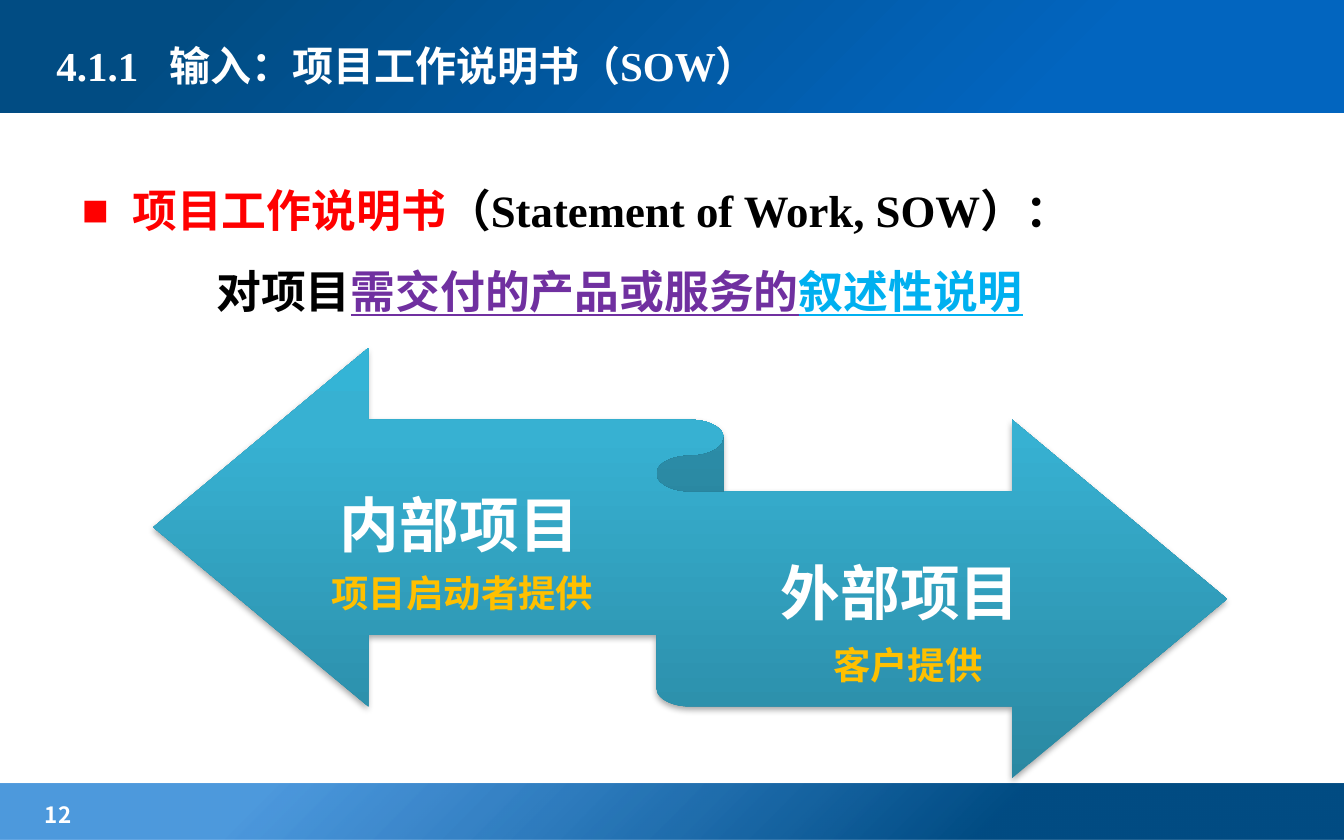
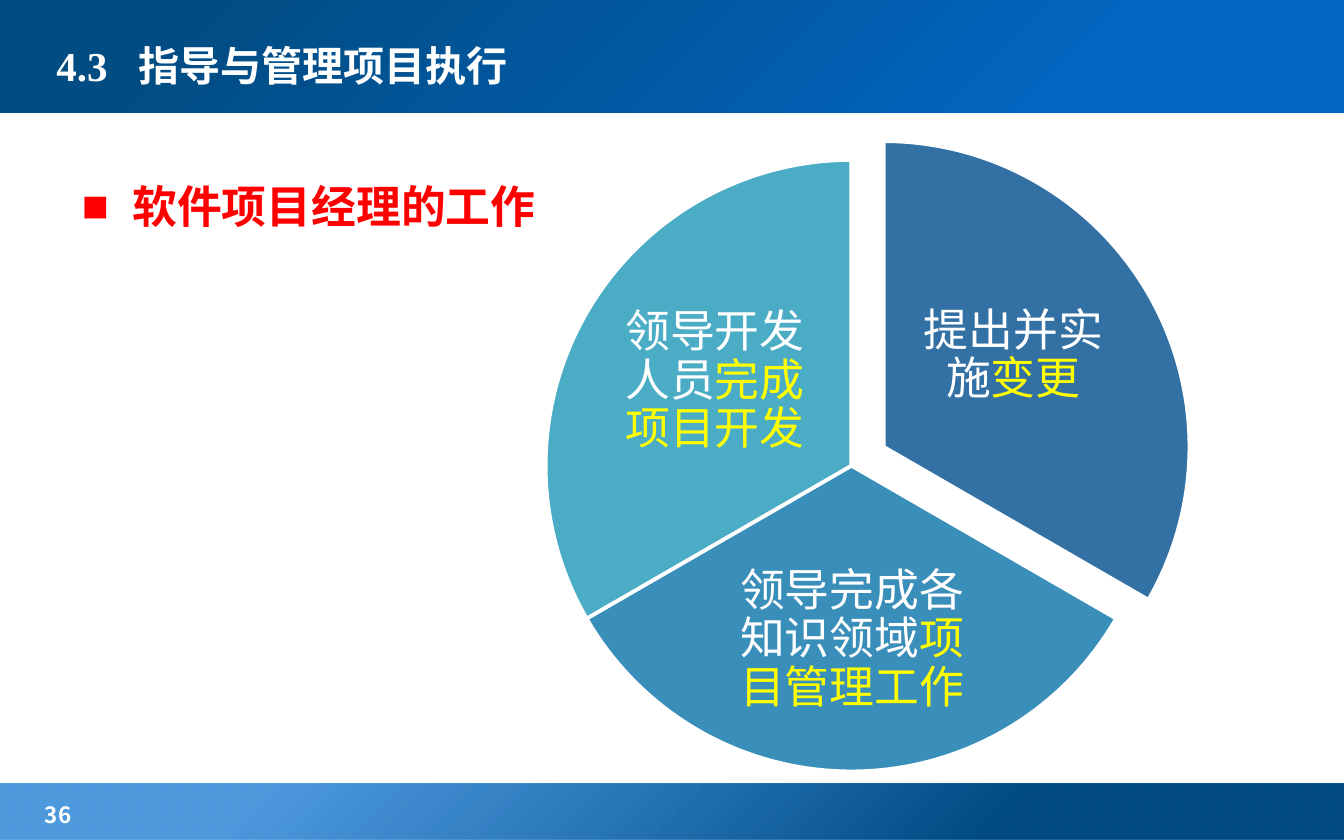
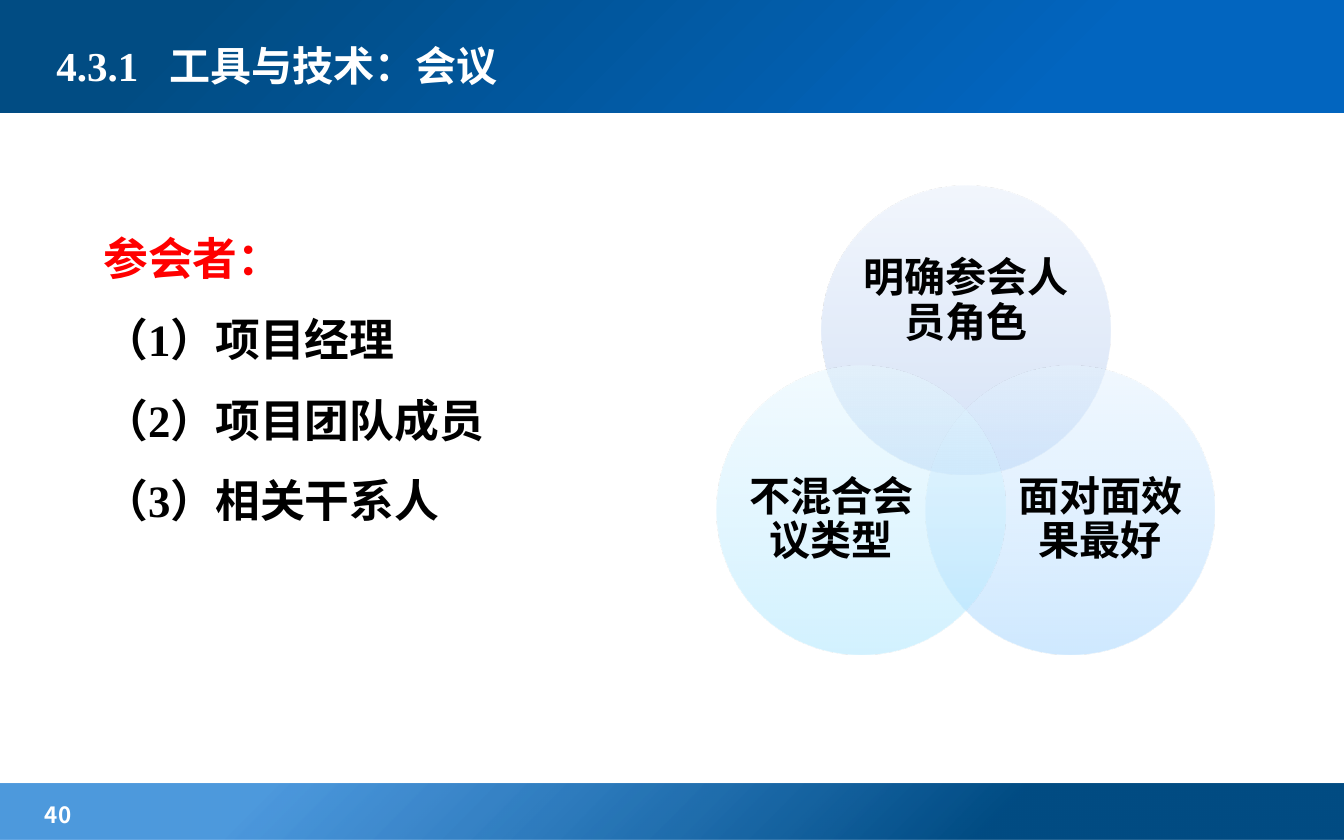
"""Builds three project integration management slides."""
import pptx
import pptx.util
import pptx.dml.color
import pptx.enum.shapes
import pptx.enum.text
import pptx.oxml
import pptx.oxml.ns

Pt = pptx.util.Pt
RGBColor = pptx.dml.color.RGBColor
MSO_SHAPE = pptx.enum.shapes.MSO_SHAPE
MSO_ANCHOR = pptx.enum.text.MSO_ANCHOR
PP_ALIGN = pptx.enum.text.PP_ALIGN

WHITE = RGBColor(0xFF, 0xFF, 0xFF)
BLACK = RGBColor(0x00, 0x00, 0x00)
RED = RGBColor(0xFF, 0x00, 0x00)
PURPLE = RGBColor(0x70, 0x30, 0xA0)
SKY = RGBColor(0x00, 0xB0, 0xF0)
GOLD = RGBColor(0xFF, 0xC0, 0x00)
YELLOW = RGBColor(0xFF, 0xFF, 0x00)
NAVY = RGBColor(0x01, 0x4C, 0x83)
HEADER_BLUE = RGBColor(0x02, 0x65, 0xBF)
FOOTER_BLUE = RGBColor(0x02, 0x6D, 0xCE)
TEAL_DARK = RGBColor(0x2A, 0x88, 0xA2)
TEAL = RGBColor(0x37, 0xB1, 0xD2)
TEAL_LIGHT = RGBColor(0x34, 0xB4, 0xD6)
PIE_BLUE = RGBColor(0x33, 0x71, 0xA4)
PIE_MIDDLE = RGBColor(0x3A, 0x8F, 0xBA)
PIE_TEAL = RGBColor(0x4B, 0xAC, 0xC6)
ROLE_COLORS = (RGBColor(0xA6, 0xC4, 0xF1), RGBColor(0xC1, 0xD5, 0xF4), RGBColor(0xE7, 0xEF, 0xFC))
FACE_COLORS = (RGBColor(0xA0, 0xD4, 0xFF), RGBColor(0xBC, 0xE0, 0xFF), RGBColor(0xE5, 0xF3, 0xFF))
TYPE_COLORS = (RGBColor(0xA7, 0xE6, 0xFF), RGBColor(0xC1, 0xED, 0xFF), RGBColor(0xE7, 0xF8, 0xFF))

SERIF = {"name": "Times New Roman", "bold": True}
TITLE = {**SERIF, "size": Pt(22)}
BODY = {**SERIF, "size": Pt(24)}
RIBBON = {**SERIF, "size": Pt(32)}
PROVIDER = {**SERIF, "size": Pt(20)}
PIE = {"name": "Lato", "size": Pt(24), "bold": False}
NUMBER = {"name": "Noto Sans CJK SC", "size": Pt(12), "bold": True}

UPWARD = '<a:lin ang="16200000" scaled="0"/>'
FROM_CORNER = '<a:path path="circle"><a:fillToRect l="100000" t="100000"/></a:path>'


def make_xml(text):
    """Parse DrawingML text, adding its namespace."""
    declaration = " " + pptx.oxml.ns.nsdecls("a")
    tag = text.split(" ")[0].split(">")[0].split("/")[0]
    return pptx.oxml.parse_xml(text.replace(tag, tag + declaration, 1) if tag == text
                               else "<" + text[1:].replace(tag[1:], tag[1:] + declaration, 1))


def place(shape, box):
    """Set the left, top, width and height of a shape in points."""
    for name, value in zip(("left", "top", "width", "height"), box):
        setattr(shape, name, Pt(value))


def set_frame(frame, anchor=MSO_ANCHOR.TOP, insets=(7.2, 3.6, 7.2, 3.6)):
    """Set wrapping, anchor and insets of a text frame."""
    values = {"word_wrap": True, "auto_size": pptx.enum.text.MSO_AUTO_SIZE.NONE,
              "vertical_anchor": anchor}
    for side, inset in zip(("left", "top", "right", "bottom"), insets):
        values["margin_" + side] = Pt(inset)
    for name, value in values.items():
        setattr(frame, name, value)


def add_runs(paragraph, runs, font_values):
    """Add (text, colour[, underline]) runs sharing one font."""
    for text, color, *underline in runs:
        run = paragraph.add_run()
        run.text = text
        for name, value in font_values.items():
            setattr(run.font, name, value)
        run.font.color.rgb = color
        if underline:
            run.font.underline = True


def add_text(slide, box, runs, font_values):
    """Add a text box with one left-aligned paragraph."""
    text_box = slide.shapes.add_textbox(*map(Pt, box))
    set_frame(text_box.text_frame)
    add_runs(text_box.text_frame.paragraphs[0], runs, font_values)
    return text_box


def add_caption(slide, box, runs, font_values, insets=(0, 0, 0, 0)):
    """Add centred text with tight lines in the middle of a box."""
    frame = add_text(slide, box, runs, font_values).text_frame
    set_frame(frame, MSO_ANCHOR.MIDDLE, insets)
    frame.paragraphs[0].alignment = PP_ALIGN.CENTER
    frame.paragraphs[0].line_spacing = 0.9


def add_figure(slide, kind, box):
    """Add a preset shape without shadow, fill or line."""
    shape = slide.shapes.add_shape(kind, *map(Pt, box))
    shape.shadow.inherit = False
    shape.fill.background()
    shape.line.fill.background()
    return shape


def fill_gradient(shape, stops, direction):
    """Fill a shape with (position, colour, opacity) stops in percent."""
    stop_list = "".join(
        f'<a:gs pos="{position * 1000}"><a:srgbClr val="{color}">'
        f'<a:alpha val="{opacity * 1000}"/></a:srgbClr></a:gs>'
        for position, color, opacity in stops)
    gradient = make_xml(f'<a:gradFill rotWithShape="1"><a:gsLst>{stop_list}</a:gsLst>'
                        f'{direction}</a:gradFill>')
    properties = shape._element.spPr
    properties.replace(properties.find(pptx.oxml.ns.qn("a:noFill")), gradient)


def add_bands(slide, layout):
    """Put the header and footer bands on the layout."""
    bands = (
        ((0, 0, 720, 60.5), ((21, HEADER_BLUE, 100), (86, NAVY, 100))),
        ((0, 419.8, 720, 30.2), ((26, NAVY, 100), (80, FOOTER_BLUE, 70))),
    )
    for box, stops in bands:
        band = add_figure(slide, MSO_SHAPE.RECTANGLE, box)
        fill_gradient(band, stops, FROM_CORNER)
        layout.shapes._spTree.insert(2, band._element)


def add_slide(presentation, number, section, title, tab_stop):
    """Add a slide with its title and page number."""
    slide = presentation.slides.add_slide(presentation.slide_layouts[1])
    place(slide.shapes.title, (23, 9.4, 524, 51))
    frame = slide.shapes.title.text_frame
    set_frame(frame, MSO_ANCHOR.MIDDLE)
    paragraph = frame.paragraphs[0]
    paragraph._p.get_or_add_pPr().append(make_xml(
        f'<a:tabLst><a:tab pos="{Pt(tab_stop)}" algn="l"/></a:tabLst>'))
    paragraph.alignment = PP_ALIGN.LEFT
    add_runs(paragraph, [(f"{section}\t{title}", WHITE)], TITLE)
    add_text(slide, (17, 425.5, 110, 18.7), [(number, WHITE)], NUMBER)
    return slide


def fill_body(slide, box, lines):
    """Fill the body with (bullet, left indent, runs) lines."""
    body = slide.placeholders[1]
    place(body, box)
    set_frame(body.text_frame)
    for index, (bullet, indent, runs) in enumerate(lines):
        frame = body.text_frame
        paragraph = frame.add_paragraph() if index else frame.paragraphs[0]
        properties = paragraph._p.get_or_add_pPr()
        properties.set("marL", str(Pt(indent)))
        properties.set("indent", str(Pt(-indent if bullet else 0)))
        properties.append(make_xml(f'<a:buChar char="{bullet}"/>' if bullet else "<a:buNone />"))
        for name, value in {"line_spacing": 1.5, "space_before": Pt(0)}.items():
            setattr(paragraph, name, value)
        add_runs(paragraph, runs, BODY)


def add_ribbon(slide, box):
    """Add the two-way ribbon with its soft shadow."""
    ribbon = add_figure(slide, MSO_SHAPE.LEFT_RIGHT_RIBBON, box)
    fill_gradient(ribbon, ((0, TEAL_DARK, 100), (80, TEAL, 100), (100, TEAL_LIGHT, 100)), UPWARD)
    effects = ribbon._element.spPr.find(pptx.oxml.ns.qn("a:effectLst"))
    effects.append(make_xml(
        f'<a:outerShdw blurRad="{Pt(3.1)}" dist="{Pt(1.8)}" dir="5400000" rotWithShape="0">'
        f'<a:srgbClr val="{BLACK}"><a:alpha val="35000"/></a:srgbClr></a:outerShdw>'))


def add_slice(slide, corner, angles, color):
    """Add a pie slice between two angles in degrees."""
    piece = add_figure(slide, MSO_SHAPE.PIE, (*corner, 327.6, 327.6))
    for index, angle in enumerate(angles):
        piece.adjustments[index] = angle * 0.6
    piece.fill.solid()
    piece.fill.fore_color.rgb = color
    piece.line.color.rgb = WHITE
    piece.line.width = Pt(2)


def build_statement_slide(slide):
    """Fill the statement of work slide."""
    fill_body(slide, (36.7, 79.9, 646.6, 280.8), [
        ("■", 27, [("项目工作说明书", RED), ("（Statement of Work, SOW）：", BLACK)]),
        (None, 72, [("对项目", BLACK), ("需交付的产品或服务的", PURPLE, True),
                    ("叙述性说明", SKY, True)]),
    ])
    add_ribbon(slide, (82.1, 186.5, 575.3, 230.4))
    insets = (0, 8.6, 0, 9.4)
    add_caption(slide, (151.2, 226.8, 190, 113), [("内部项目", WHITE)], RIBBON, insets)
    add_caption(slide, (370, 263.5, 224.6, 113), [("外部项目", WHITE)], RIBBON, insets)
    add_text(slide, (170.6, 301.7, 164, 31.7), [("项目启动者提供", GOLD)], PROVIDER)
    add_text(slide, (439.2, 340.6, 96.5, 31.7), [("客户提供", GOLD)], PROVIDER)


def build_manager_slide(slide):
    """Fill the slide on the work of the project manager."""
    fill_body(slide, (36.7, 77.8, 561.6, 280.8), [("■", 27, [("软件项目经理的工作", RED)])])
    slices = (
        ((309.6, 75.6), (270, 30), PIE_BLUE, (487.4, 136.1, 110.9, 109.4),
         "提出并实施", "变更"),
        ((292.3, 85.7), (30, 150), PIE_MIDDLE, (382.3, 292.3, 148.3, 101.5),
         "领导完成各知识领域", "项目管理工作"),
        ((292.3, 85.7), (150, 270), PIE_TEAL, (327.6, 149.8, 110.9, 109.4),
         "领导开发人员", "完成项目开发"),
    )
    for corner, angles, color, caption_box, task, emphasis in slices:
        add_slice(slide, corner, angles, color)
        add_caption(slide, caption_box, [(task, WHITE), (emphasis, YELLOW)], PIE, (2.2,) * 4)


def build_meeting_slide(slide):
    """Fill the meeting slide."""
    attendees = ("（1）项目经理", "（2）项目团队成员", "（3）相关干系人")
    fill_body(slide, (48.2, 105.8, 646.6, 280.8),
              [(None, 0, [("参会者：", RED)])]
              + [(None, 0, [(attendee, BLACK)]) for attendee in attendees])
    circles = (
        ((439.9, 99.4), ROLE_COLORS, (460.8, 126.7, 113, 69.8), "明确参会人员角色"),
        ((495.9, 195.8), FACE_COLORS, (542.9, 236.2, 92.9, 85), "面对面效果最好"),
        ((383.9, 195.8), TYPE_COLORS, (398.9, 236.2, 92.9, 85), "不混合会议类型"),
    )
    for corner, colors, caption_box, rule in circles:
        circle = add_figure(slide, MSO_SHAPE.OVAL, (*corner, 154.8, 154.8))
        fill_gradient(circle, zip((0, 35, 100), colors, (50, 50, 50)), UPWARD)
        add_caption(slide, caption_box, [(rule, BLACK)], TITLE)


def main():
    """Build and save the presentation."""
    presentation = pptx.Presentation()
    presentation.slide_width, presentation.slide_height = Pt(720), Pt(450)
    pages = (
        ("12", "4.1.1", "输入：项目工作说明书（SOW）", 60.5, build_statement_slide),
        ("36", "4.3", "指导与管理项目执行", 44, build_manager_slide),
        ("40", "4.3.1", "工具与技术：会议", 60.5, build_meeting_slide),
    )
    for *heading, build in pages:
        slide = add_slide(presentation, *heading)
        build(slide)
    add_bands(slide, presentation.slide_layouts[1])
    presentation.save("out.pptx")


if __name__ == "__main__":
    main()
